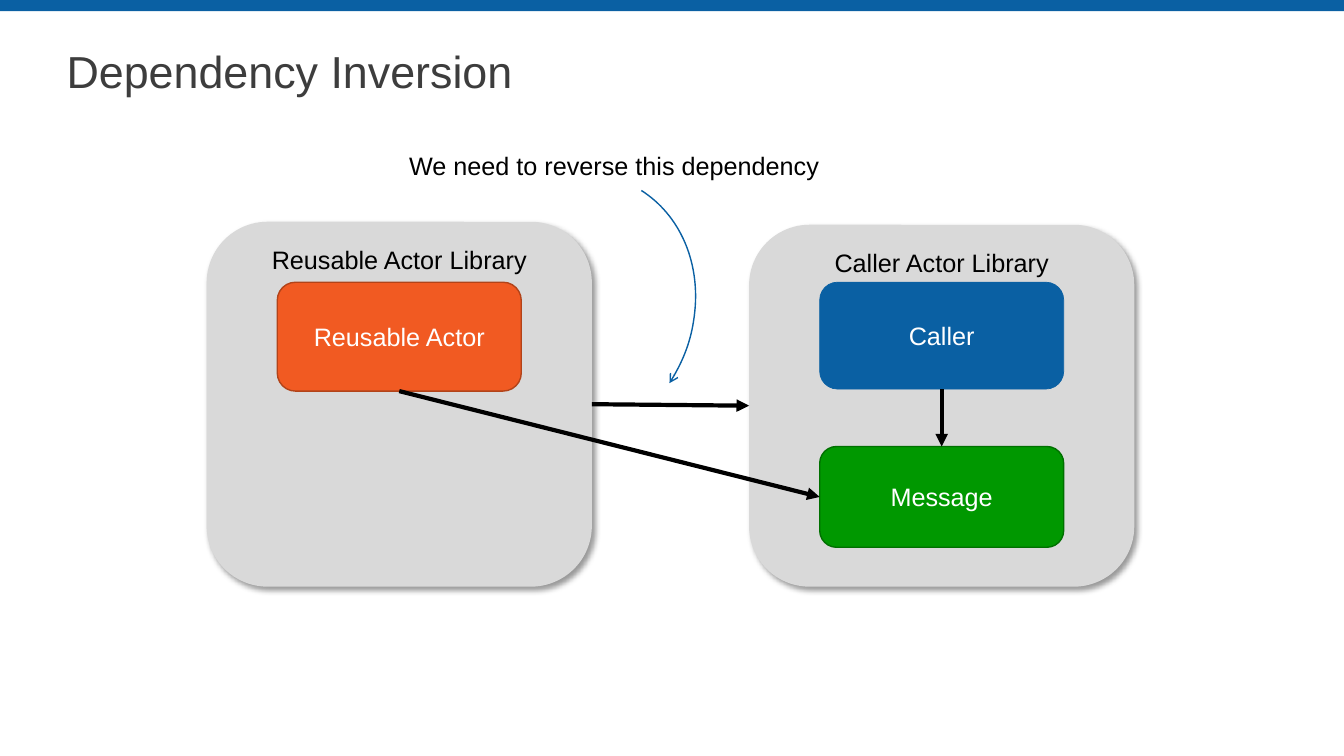
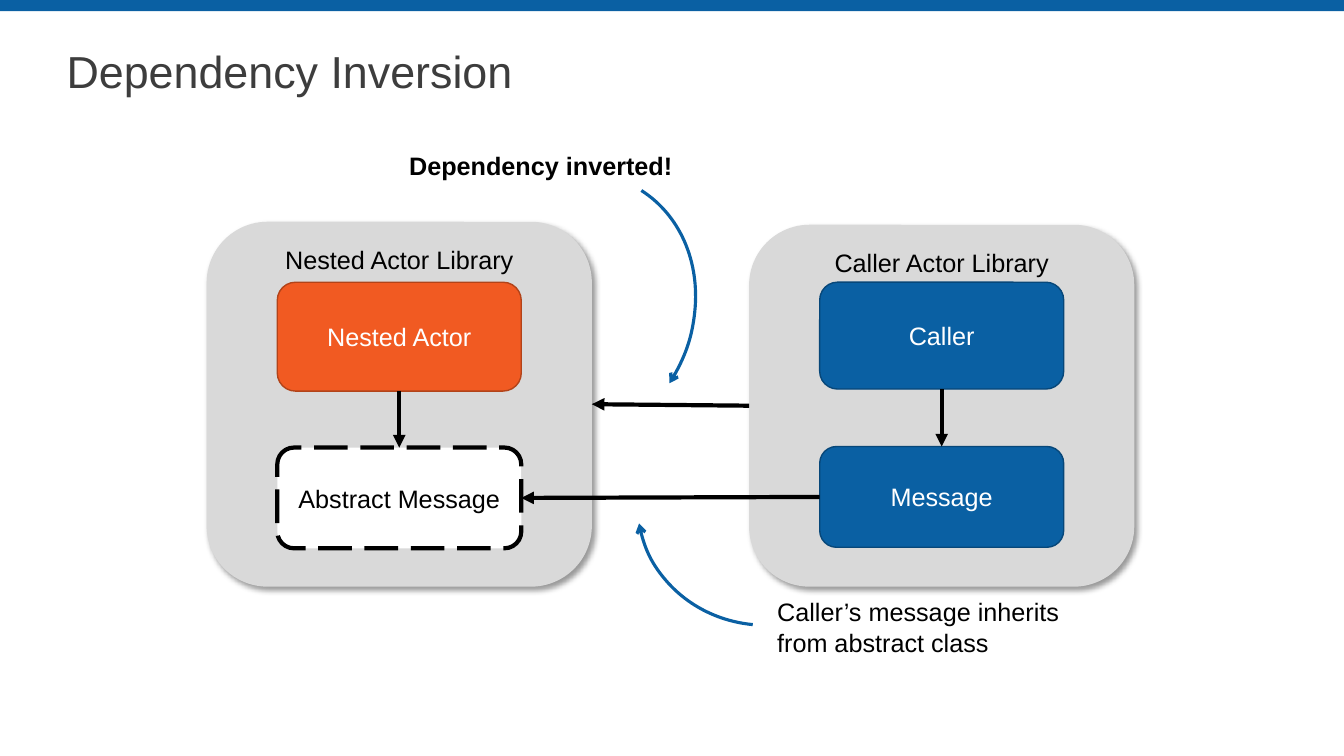
from lxml import etree
from pptx import Presentation
from pptx import util as u
from pptx.dml.color import RGBColor
from pptx.enum import dml, shapes, text
from pptx.oxml import ns

BLUE, ORANGE, GREEN = "0A60A3", "F15A22", "009800"
BLACK, WHITE, GRAY, TITLE = "000000", "FFFFFF", "D9D9D9", "3D3D3D"
FONT = {"name": "Arial", "size": u.Pt(18), "bold": False}
SHAPE = shapes.MSO_SHAPE
TOP, LEFT, BOTTOM, RIGHT = range(4)  # connection sites of a box
LEFT_BLOCK, RIGHT_BLOCK, BLOCK_WIDTH = 2.75, 8.13, 2.42


def color(hex_text):
    return RGBColor.from_string(hex_text)


def add_xml(parent, tag, **attributes):
    return etree.SubElement(parent, ns.qn(tag), attributes)


deck = Presentation()
deck.slide_width, deck.slide_height = u.Inches(13.33), u.Inches(7.5)
layout = deck.slide_layouts[5]

# Title place shared by both pages
title_place = layout.placeholders[0]
for name, value in {"left": 0.66, "top": 0.4, "width": 12, "height": 0.67}.items():
    setattr(title_place, name, u.Inches(value))

# Panels: left, top, height
PANELS = [(2.05, 2.2, 3.62), (7.43, 2.23, 3.59)]

# Blocks: name: (left, top, height, label, fill, line, line width, text colour)
# Links: (from, site, to, site)
# Arcs: (left, top, width, height, rotation, start, line width, arrowhead)
# Notes: (left, top, width, height, wrap, bold, wording)
PAGES = [
    {
        "panels": ["Reusable Actor Library", "Caller Actor Library"],
        "blocks": {
            "actor": (LEFT_BLOCK, 2.8, 1.08, "Reusable Actor", ORANGE, "B24319", 1, WHITE),
            "caller": (RIGHT_BLOCK, 2.8, 1.06, "Caller", BLUE, BLUE, 0.5, WHITE),
            "message": (RIGHT_BLOCK, 4.43, 1, "Message", GREEN, "007000", 1, WHITE),
        },
        "links": [
            ("caller", BOTTOM, "message", TOP),
            ("actor", BOTTOM, "message", LEFT),
            ("panel 0", RIGHT, "panel 1", LEFT),
        ],
        "arcs": [(4.31, 1.66, 2.53, 2.92, 32.6, 162, 1)],
        "notes": [(3.96, 1.44, 4.33, 0.4, False, False, "We need to reverse this dependency")],
    },
    {
        "panels": ["Nested Actor Library", "Caller Actor Library"],
        "blocks": {
            "actor": (LEFT_BLOCK, 2.8, 1.08, "Nested Actor", ORANGE, "B24319", 1, WHITE),
            "caller": (RIGHT_BLOCK, 2.8, 1.06, "Caller", BLUE, "074779", 1, WHITE),
            "message": (RIGHT_BLOCK, 4.43, 1, "Message", BLUE, "074779", 1, WHITE),
            "abstract": (LEFT_BLOCK, 4.44, 1, "Abstract Message", WHITE, BLACK, 3, BLACK),
        },
        "links": [
            ("caller", BOTTOM, "message", TOP),
            ("message", LEFT, "abstract", RIGHT),
            ("panel 1", LEFT, "panel 0", RIGHT),
            ("actor", BOTTOM, "abstract", TOP),
        ],
        "arcs": [
            (4.31, 1.66, 2.53, 2.92, 32.6, 162, 2.25),
            (6.32, 3.75, 2.6, 2.45, 170.4, 172.09, 2.25),
        ],
        "notes": [
            (3.96, 1.44, 2.84, 0.4, False, True, "Dependency inverted!"),
            (7.61, 5.87, 3.26, 0.71, True, False, "Caller’s message inherits from abstract class"),
        ],
    },
]

for number, content in enumerate(PAGES):
    page = deck.slides.add_slide(layout)
    boxes = {}
    labels = []  # (paragraph, wording, text colour, changes to FONT)

    # Top band, moved to the layout so that every page shows it
    if number == 0:
        band = page.shapes.add_shape(SHAPE.RECTANGLE, 0, 0, deck.slide_width, u.Inches(0.11))
        band.shadow.inherit = False
        band.fill.solid()
        band.fill.fore_color.rgb = color(BLUE)
        band.line.fill.background()
        layout.shapes._spTree.append(band._element)

    # Title
    frame = page.shapes.title.text_frame
    for name, value in {"margin_left": 0, "margin_right": 0, "word_wrap": True,
                        "vertical_anchor": text.MSO_ANCHOR.MIDDLE}.items():
        setattr(frame, name, value)
    para = frame.paragraphs[0]
    para.alignment, para.line_spacing = text.PP_ALIGN.LEFT, 0.9
    labels.append((para, "Dependency Inversion", TITLE, {"size": u.Pt(32)}))

    # Library panels and the blocks on them
    rounded = []
    for index, (left, top, height) in enumerate(PANELS):
        rounded.append((f"panel {index}", left, top, 3.82, height,
                        content["panels"][index], GRAY, None, 0, BLACK))
    for key, (left, top, height, *look) in content["blocks"].items():
        rounded.append((key, left, top, BLOCK_WIDTH, height, *look))

    for key, left, top, width, height, wording, fill, line, weight, ink in rounded:
        box = page.shapes.add_shape(SHAPE.ROUNDED_RECTANGLE, u.Inches(left), u.Inches(top),
                                    u.Inches(width), u.Inches(height))
        boxes[key] = box
        box.shadow.inherit = False
        box.fill.solid()
        box.fill.fore_color.rgb = color(fill)
        if line:
            box.line.color.rgb = color(line)
            box.line.width = u.Pt(weight)
            box.text_frame.vertical_anchor = text.MSO_ANCHOR.MIDDLE
        else:
            box.line.fill.background()
            box.text_frame.vertical_anchor = text.MSO_ANCHOR.TOP
            effects = box._element.spPr.find(ns.qn("a:effectLst"))
            shadow = add_xml(effects, "a:outerShdw", blurRad=str(u.Pt(4)), dist=str(u.Pt(3)),
                             dir="2700000", algn="tl", rotWithShape="0")
            add_xml(add_xml(shadow, "a:srgbClr", val=BLACK), "a:alpha", val="40000")
        if key == "abstract":
            box.line.dash_style = dml.MSO_LINE.LONG_DASH
        para = box.text_frame.paragraphs[0]
        para.alignment = text.PP_ALIGN.CENTER
        labels.append((para, wording, ink, {}))

    # Dependency arrows
    for start, start_site, end, end_site in content["links"]:
        link = page.shapes.add_connector(shapes.MSO_CONNECTOR.STRAIGHT, 0, 0, 0, 0)
        link.begin_connect(boxes[start], start_site)
        link.end_connect(boxes[end], end_site)
        link.line.color.rgb = color(BLACK)
        link.line.width = u.Pt(3)
        add_xml(link.line._get_or_add_ln(), "a:tailEnd", type="triangle")
        add_xml(link._element.spPr, "a:effectLst")

    # Curved pointers
    for left, top, width, height, rotation, start, weight in content["arcs"]:
        arc = page.shapes.add_shape(SHAPE.ARC, u.Inches(left), u.Inches(top),
                                    u.Inches(width), u.Inches(height))
        arc.rotation = rotation
        arc.adjustments[0] = start
        arc.shadow.inherit = False
        arc.fill.background()
        arc.line.color.rgb = color(BLUE)
        arc.line.width = u.Pt(weight)
        add_xml(arc.line._get_or_add_ln(), "a:tailEnd", type="arrow")

    # Notes
    for left, top, width, height, wrap, bold, wording in content["notes"]:
        note = page.shapes.add_textbox(u.Inches(left), u.Inches(top),
                                       u.Inches(width), u.Inches(height))
        note.text_frame.word_wrap = wrap
        note.text_frame.auto_size = text.MSO_AUTO_SIZE.SHAPE_TO_FIT_TEXT
        labels.append((note.text_frame.paragraphs[0], wording, BLACK, {"bold": bold}))

    # Wording and font of every text
    for para, wording, ink, changes in labels:
        span = para.add_run()
        span.text = wording
        span.font.color.rgb = color(ink)
        for name, value in {**FONT, **changes}.items():
            setattr(span.font, name, value)

deck.save("out.pptx")
